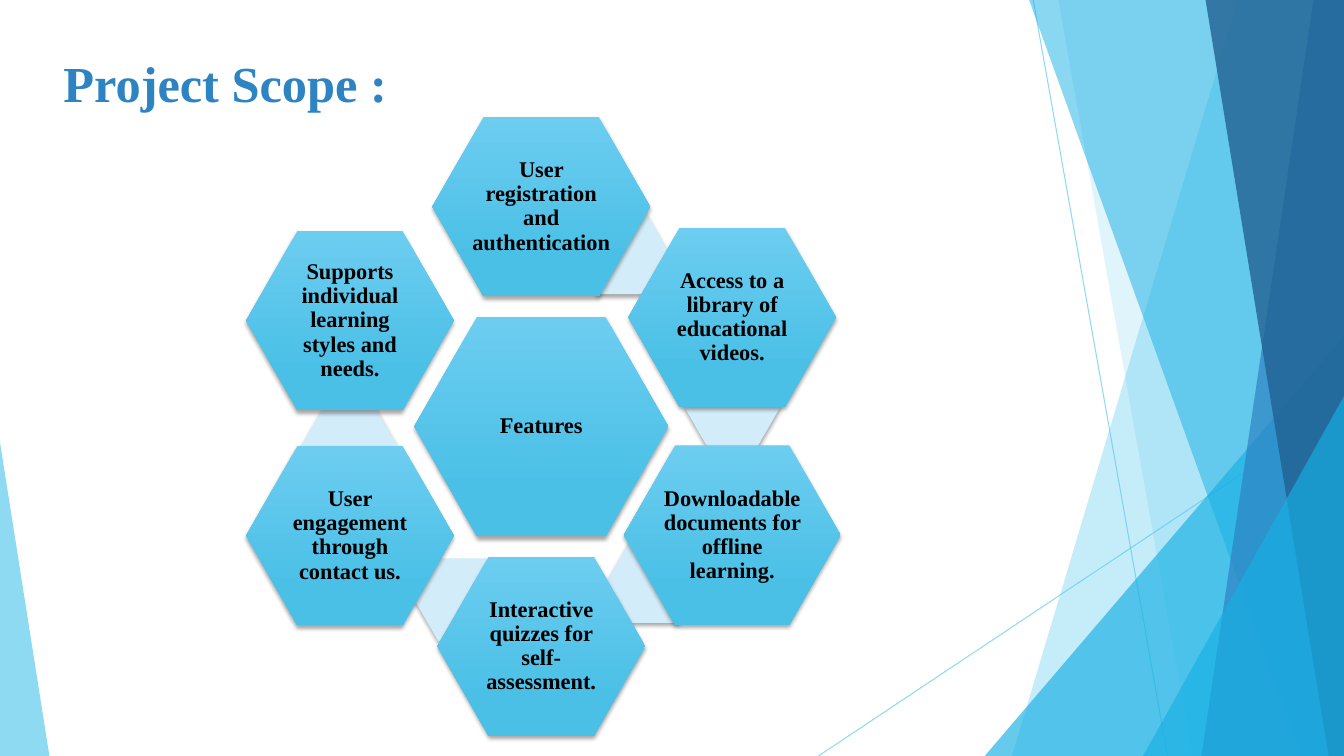
from lxml import etree
from pptx import Presentation
from pptx.dml.color import RGBColor
from pptx.enum.shapes import MSO_CONNECTOR, MSO_SHAPE
from pptx.enum.text import MSO_ANCHOR, PP_ALIGN
from pptx.oxml.ns import qn
from pptx.util import Pt

HEXAGON, TRIANGLE = MSO_SHAPE.HEXAGON, MSO_SHAPE.ISOSCELES_TRIANGLE
STRAIGHT = MSO_CONNECTOR.STRAIGHT
MIDDLE, CENTER = MSO_ANCHOR.MIDDLE, PP_ALIGN.CENTER

COLORS = {
    "sky": "5FCBEF", "cyan": "17B0E4", "blue": "2E83C3", "navy": "226292",
    "hex_top": "6CCDF0", "hex_bottom": "4BC0E6", "link": "D2ECF9", "text": "000000",
}
FONT = "Times New Roman"
WIDTH, HEIGHT = 960, 540

TITLE = "Project Scope :"
HUB = "Features"
HUB_CENTER, HUB_SIZE = (386.6, 304.6), (181.4, 157)
FEATURE_HEIGHT = 128.2
LINK_SIZE = (68.4, 59)
# text, offset of its centre from the hub, width, left and top of the link behind it
FEATURES = [
    ("User registration and authentication", (0, -157), 155.5, (409.7, 151.2)),
    ("Access to a library of educational videos.", (136.4, -78), 148.3, (488.9, 261.4)),
    ("Downloadable documents for offline learning.", (136.4, 77.6), 154.8, (433.4, 385.9)),
    ("Interactive quizzes for self-assessment.", (0, 157), 148.3, (295.9, 398.9)),
    ("User engagement through contact us.", (-136.6, 78), 148.3, (215.3, 288.7)),
    ("Supports individual learning styles and needs.", (-136.6, -75.6), 148.3, None),
]

# start and end of each thin line
RAYS = [((738, 0), (834, HEIGHT)), ((WIDTH, 290), (584.6, HEIGHT))]
# bands reach the right edge: x at the top, x at the bottom, colour, opacity
# corners fill the foot of the slide: left, top, width, apex, colour, opacity
FACETS = [
    ("band", (884.2, 722.9), "sky", 36),
    ("band", (756, 851.8), "sky", 20),
    ("corner", (703.4, 240, 256.6, 1), "cyan", 66),
    ("band", (735.1, 929.5), "cyan", 50),
    ("band", (938.2, 858.2), "blue", 70),
    ("band", (861.1, 949), "navy", 80),
    ("corner", (816.5, 283, 143.5, 1), "cyan", 66),
    ("corner", (0, 316, 35.3, 0), "sky", 70),
]


def rgb(name):
    return RGBColor.from_string(COLORS[name])


def set_opacity(parent, percent):
    for color in parent.iter(qn("a:srgbClr")):
        etree.SubElement(color, qn("a:alpha")).set("val", str(percent * 1000))


def add_ray(start, end):
    ray = slide.shapes.add_connector(STRAIGHT, *map(Pt, start + end))
    ray.line.color.rgb = rgb("sky")
    ray.line.width = Pt(0.75)
    properties = ray._element.spPr
    set_opacity(properties, 70)
    etree.SubElement(properties, qn("a:effectLst"))


def add_facet(kind, geometry, color, opacity):
    if kind == "band":
        top_x, bottom_x = map(Pt, geometry)
        builder = slide.shapes.build_freeform(top_x, 0)
        builder.add_line_segments(
            [(Pt(WIDTH), 0), (Pt(WIDTH), Pt(HEIGHT)), (bottom_x, Pt(HEIGHT))])
        facet = builder.convert_to_shape()
    else:
        left, top, width, apex = geometry
        facet = slide.shapes.add_shape(
            TRIANGLE, Pt(left), Pt(top), Pt(width), Pt(HEIGHT - top))
        facet.adjustments[0] = apex
    facet.shadow.inherit = False
    facet.fill.solid()
    facet.fill.fore_color.rgb = rgb(color)
    facet.line.fill.background()
    set_opacity(facet._element.spPr, opacity)


def add_hexagon(left, top, width, height, slant):
    hexagon = slide.shapes.add_shape(HEXAGON, Pt(left), Pt(top), Pt(width), Pt(height))
    hexagon.adjustments[0] = slant
    hexagon.line.fill.background()
    hexagon.shadow.inherit = False
    effects = hexagon._element.spPr.find(qn("a:effectLst"))
    shadow = etree.SubElement(effects, qn("a:outerShdw"), blurRad=str(Pt(3)),
                              dist=str(Pt(2)), dir="5400000", rotWithShape="0")
    etree.SubElement(shadow, qn("a:srgbClr"), val="000000")
    set_opacity(effects, 35)
    return hexagon


def style_text(paragraph, size, color):
    font = paragraph.runs[0].font
    font.name, font.size, font.bold = FONT, Pt(size), True
    font.color.rgb = rgb(color)


def add_cell(text, center, size):
    """Draw a shaded hexagon around its centre, with its label."""
    left, top = (c - s / 2 for c, s in zip(center, size))
    cell = add_hexagon(left, top, *size, 0.286)
    cell.fill.gradient()
    cell.fill.gradient_angle = 270
    stops = zip(cell.fill.gradient_stops, (0, 0.78), ("hex_top", "hex_bottom"))
    for stop, position, color in stops:
        stop.position = position
        stop.color.rgb = rgb(color)
    frame = cell.text_frame
    frame.word_wrap = True
    frame.vertical_anchor = MIDDLE
    frame.margin_left = frame.margin_right = Pt(1.6)
    frame.margin_top = frame.margin_bottom = Pt(1.6)
    frame.text = text
    label = frame.paragraphs[0]
    label.alignment = CENTER
    label.line_spacing = 0.9
    style_text(label, 16, "text")


def add_title():
    title = slide.shapes.add_textbox(Pt(38.2), Pt(29.5), Pt(692), Pt(82))
    frame = title.text_frame
    frame.word_wrap = True
    frame.margin_top = Pt(7.5)
    frame.text = TITLE
    style_text(frame.paragraphs[0], 36, "blue")


presentation = Presentation()
presentation.slide_width, presentation.slide_height = Pt(WIDTH), Pt(HEIGHT)
slide = presentation.slides.add_slide(presentation.slide_layouts[6])

for ray_ends in RAYS:
    add_ray(*ray_ends)
for facet_values in FACETS:
    add_facet(*facet_values)
add_title()
add_cell(HUB, HUB_CENTER, HUB_SIZE)
for feature, offset, feature_width, link_corner in FEATURES:
    if link_corner:
        link = add_hexagon(*link_corner, *LINK_SIZE, 0.289)
        link.fill.solid()
        link.fill.fore_color.rgb = rgb("link")
    feature_center = [hub + shift for hub, shift in zip(HUB_CENTER, offset)]
    add_cell(feature, feature_center, (feature_width, FEATURE_HEIGHT))

presentation.save("out.pptx")
